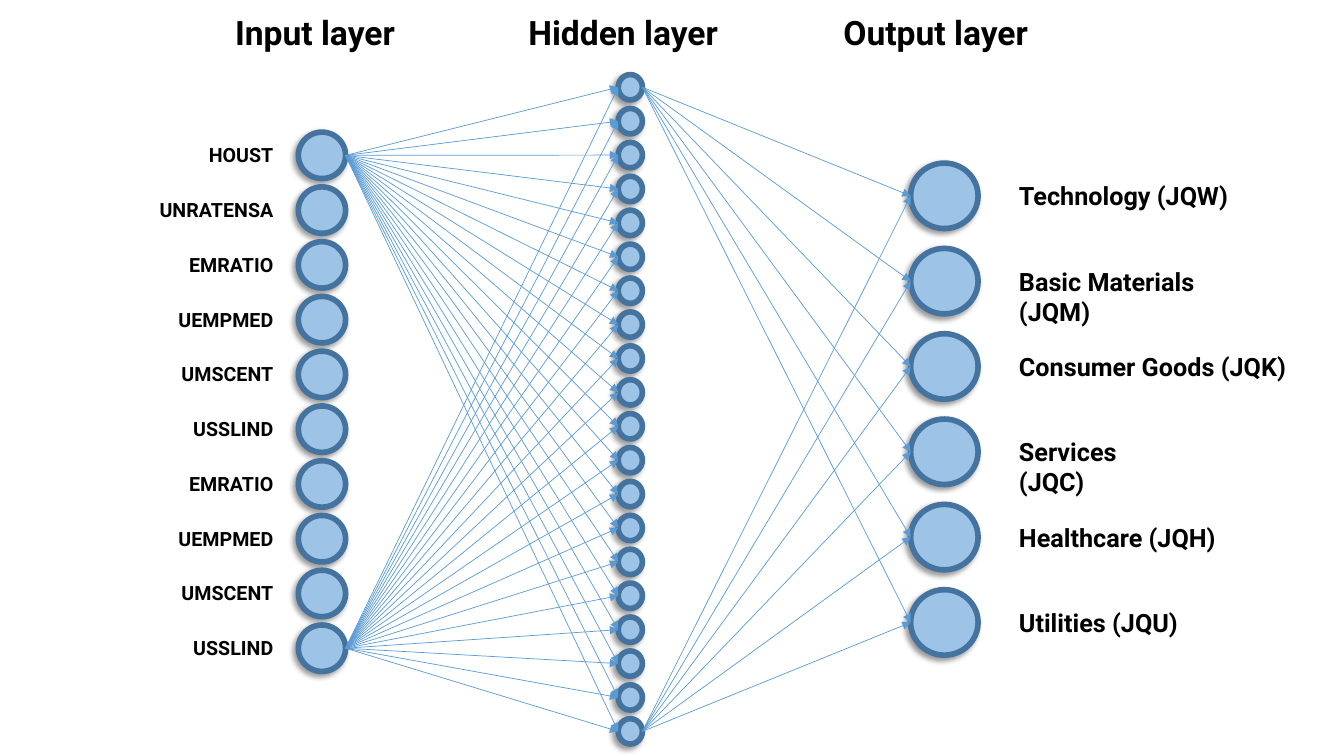
from collections import namedtuple
from itertools import product

from lxml.etree import SubElement
from pptx import Presentation
from pptx.dml.color import RGBColor
from pptx.enum.shapes import MSO_CONNECTOR, MSO_SHAPE
from pptx.enum.text import MSO_AUTO_SIZE, PP_ALIGN
from pptx.oxml.ns import qn
from pptx.util import Cm, Pt

COLORS = {"node": "9DC3E6", "ring": "43739E", "link": "5B9BD5",
          "text": "000000", "shadow": "000000"}
FONT = "Roboto"

# Lengths in centimetres
Box = namedtuple("Box", "left top width height")

INPUT_BOX = Box(7.52, 3.33, 1.19, 13.59)
HIDDEN_BOX = Box(15.58, 1.88, 0.61, 16.87)
OUTPUT_BOX = Box(22.95, 4.11, 1.7, 12.4)
HIDDEN_COUNT = 20

# Each label with the width of its text box
INPUTS = [("HOUST", 2.92), ("UNRATENSA", 4.6), ("EMRATIO", 3.65),
          ("UEMPMED", 4.2), ("UMSCENT", 3.91), ("USSLIND", 3.43),
          ("EMRATIO", 3.65), ("UEMPMED", 4.2), ("UMSCENT", 3.91),
          ("USSLIND", 3.43)]
OUTPUTS = [("Technology (JQW)", 5.84), ("Basic Materials (JQM)", 6.86),
           ("Consumer Goods (JQK)", 7.29), ("Services (JQC)", 4.6),
           ("Healthcare (JQH)", 5.49), ("Utilities (JQU)", 4.62)]


def color(name):
    return RGBColor.from_string(COLORS[name])


def add_label(page, box, text, size, align=PP_ALIGN.LEFT, wrap=False):
    label = page.shapes.add_textbox(*(Cm(length) for length in box))
    frame = label.text_frame
    frame.word_wrap = wrap
    frame.auto_size = MSO_AUTO_SIZE.SHAPE_TO_FIT_TEXT
    para = frame.paragraphs[0]
    para.alignment = align
    span = para.add_run()
    span.text = text
    span.font.name = FONT
    span.font.size = Pt(size)
    span.font.bold = True
    span.font.color.rgb = color("text")


def add_node(page, box):
    node = page.shapes.add_shape(MSO_SHAPE.OVAL, *(Cm(length) for length in box))
    node.fill.solid()
    node.fill.fore_color.rgb = color("node")
    node.line.color.rgb = color("ring")
    node.line.width = Pt(4)
    # Soft shadow towards the lower left
    node.shadow.inherit = False
    effects = node.element.spPr.find(qn("a:effectLst"))
    shadow = SubElement(effects, qn("a:outerShdw"), blurRad=str(Pt(4)),
                        dist=str(Pt(3)), dir="8100000", algn="tr", rotWithShape="0")
    tint = SubElement(shadow, qn("a:srgbClr"), val=COLORS["shadow"])
    SubElement(tint, qn("a:alpha"), val="40000")


def add_layer(page, box, count, node_height):
    """Spread nodes evenly down the box and return their centre heights."""
    pitch = (box.height - node_height) / (count - 1)
    tops = [box.top + index * pitch for index in range(count)]
    for top in tops:
        add_node(page, Box(box.left, top, box.width, node_height))
    return [top + node_height / 2 for top in tops]


def add_title(page, box, text, width):
    left = box.left + (box.width - width) / 2
    add_label(page, Box(left, 0.18, width, 1.27), text, 24)


def add_input_labels(page, box, centers):
    right, height = box.left - 0.38, 0.86
    for (text, width), center in zip(INPUTS, centers):
        place = Box(right - width, center - height / 2, width, height)
        add_label(page, place, text, 14, PP_ALIGN.RIGHT, wrap=True)


def add_output_labels(page, box, centers):
    left, height = box.left + box.width + 0.78, 1.02
    for (text, width), center in zip(OUTPUTS, centers):
        add_label(page, Box(left, center - height / 2, width, height), text, 18)


def add_links(page, start_box, start_centers, end_box, end_centers):
    """Join the first and last start nodes to every end node."""
    start_x = start_box.left + start_box.width
    outer = (start_centers[0], start_centers[-1])
    for start_y, end_y in product(outer, end_centers):
        link = page.shapes.add_connector(
            MSO_CONNECTOR.STRAIGHT, Cm(start_x), Cm(start_y),
            Cm(end_box.left), Cm(end_y))
        link.line.color.rgb = color("link")
        link.line.width = Pt(0.5)
        properties = link.element.spPr
        SubElement(properties.find(qn("a:ln")), qn("a:tailEnd"), type="triangle")
        SubElement(properties, qn("a:effectLst"))


def add_network(page):
    # Nodes
    input_centers = add_layer(page, INPUT_BOX, len(INPUTS), 1.17)
    hidden_centers = add_layer(page, HIDDEN_BOX, HIDDEN_COUNT, 0.64)
    output_centers = add_layer(page, OUTPUT_BOX, len(OUTPUTS), 1.65)
    # Labels
    add_input_labels(page, INPUT_BOX, input_centers)
    add_output_labels(page, OUTPUT_BOX, output_centers)
    # Titles
    add_title(page, INPUT_BOX, "Input layer", 4.88)
    add_title(page, HIDDEN_BOX, "Hidden layer", 5.64)
    add_title(page, OUTPUT_BOX, "Output layer", 5.59)
    # Links
    add_links(page, INPUT_BOX, input_centers, HIDDEN_BOX, hidden_centers)
    add_links(page, HIDDEN_BOX, hidden_centers, OUTPUT_BOX, output_centers)


def main():
    deck = Presentation()
    deck.slide_width, deck.slide_height = Cm(33.87), Cm(19.05)
    page = deck.slides.add_slide(deck.slide_layouts[6])
    add_network(page)
    deck.save("out.pptx")


if __name__ == "__main__":
    main()
